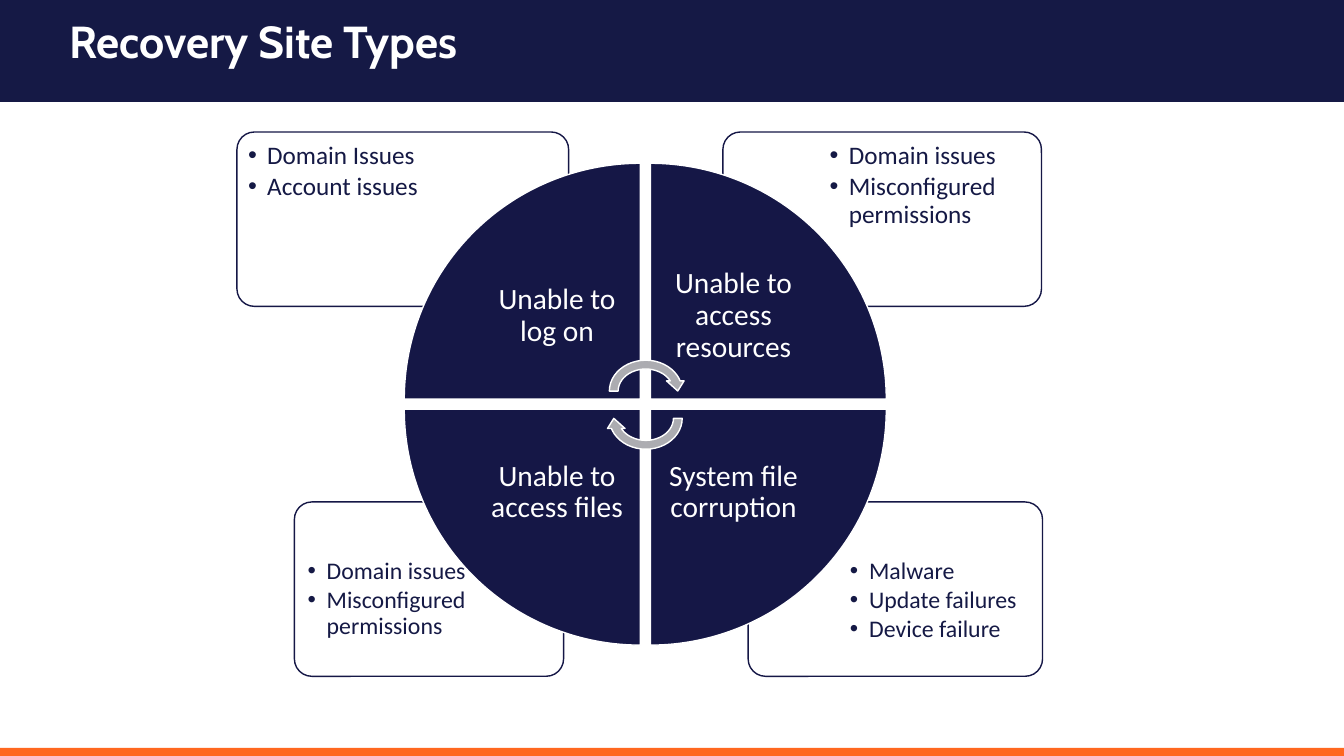
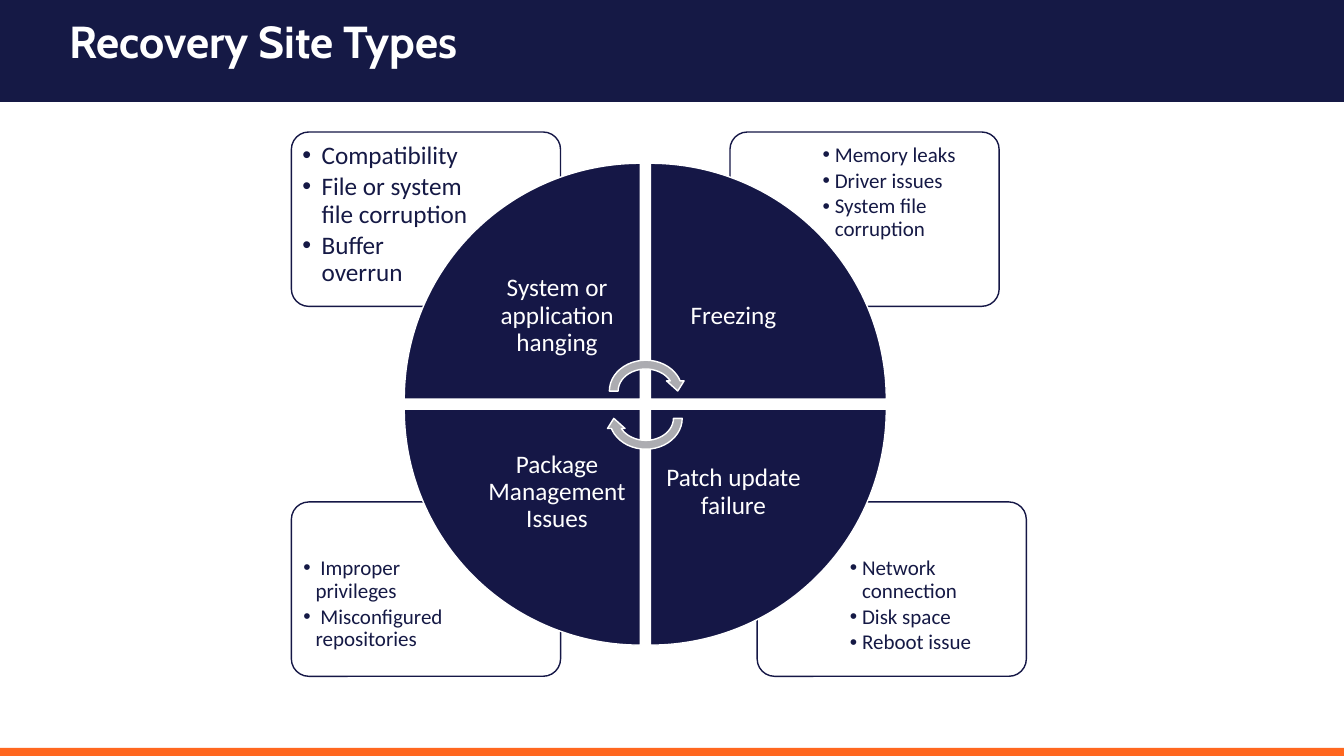
from dataclasses import dataclass

from lxml import etree
from pptx import Presentation
from pptx import util as u
from pptx.dml.color import RGBColor
from pptx.enum import shapes, text
from pptx.oxml.ns import qn

PX = u.Inches(1) // 100
SLIDE_W, SLIDE_H = 1333, 750

NAVY = RGBColor(0x15, 0x19, 0x45)
WEDGE_NAVY = RGBColor(0x15, 0x17, 0x46)
ORANGE = RGBColor(0xFF, 0x67, 0x1F)
GREY = RGBColor(0xAC, 0xAC, 0xB1)
WHITE = RGBColor(0xFF, 0xFF, 0xFF)

TITLE_FONT, BODY_FONT = "Cabin", "Calibri"
BAND_H, FOOTER_H = 101, 8

WHEEL_LEFT, WHEEL_TOP = 401, 162
WEDGE, WEDGE_PITCH, LABEL = 234, 244, 165
PANEL_TOPS, PANEL_H = (131, 498), 173
NOTE_TOPS, NOTE_H = (135, 545), 122
NOTE_GAP = 4
ARROW_LEFT, ARROW_W, ARROW_H = 600, 81, 70
ARROW_TOPS = (353, 380)

NOTE_INSETS = {18: 7, 17: 9, 15: 8}
NOTE_INDENTS = {18: 19, 17: 19, 15: 12}
LABEL_INSETS = {21: 16, 18: 14}
CLOCKWISE = ((0, 0), (1, 0), (1, 1), (0, 1))


@dataclass
class Quadrant:
    """One quarter of the wheel with the panel behind it."""

    label: str
    causes: list
    panel_left: int
    panel_width: int
    note_size: int


HARDWARE_AND_ACCESS = [
    Quadrant("Unable to log on", ["Domain Issues", "Account issues"], 235, 329, 18),
    Quadrant("Unable to access resources",
             ["Domain issues", "Misconfigured permissions"], 717, 316, 18),
    Quadrant("System file corruption",
             ["Malware", "Update failures", "Device failure"], 742, 292, 17),
    Quadrant("Unable to access files",
             ["Domain issues", "Misconfigured permissions"], 292, 267, 17),
]

SOFTWARE = [
    Quadrant("System or application hanging",
             ["Compatibility", "File or system file corruption", "Buffer overrun"],
             289, 267, 18),
    Quadrant("Freezing",
             ["Memory leaks", "Driver issues", "System file corruption"],
             724, 267, 15),
    Quadrant("Patch update failure",
             ["Network connection", "Disk space", "Reboot issue"], 751, 267, 15),
    Quadrant("Package Management Issues",
             [" Improper privileges", " Misconfigured repositories"], 289, 267, 15),
]


def px(*lengths):
    """Turn px lengths into EMU."""
    return [length * PX for length in lengths]


def add_block(slide, kind, box, fill, line=None, turn=0):
    """Add a flat preset shape."""
    block = slide.shapes.add_shape(kind, *px(*box))
    block.shadow.inherit = False
    block.rotation = turn
    block.fill.solid()
    block.fill.fore_color.rgb = fill
    if line is None:
        block.line.fill.background()
    else:
        block.line.color.rgb = line
        block.line.width = u.Pt(1)
    return block


def add_words(slide, box, lines, size, color, font=BODY_FONT, inset=10,
              anchor=text.MSO_ANCHOR.MIDDLE, align=text.PP_ALIGN.LEFT,
              bold=False, indent=0):
    """Add wrapped text, one paragraph a line, bulleted when indented."""
    frame = slide.shapes.add_textbox(*px(*box)).text_frame
    frame.word_wrap = True
    frame.vertical_anchor = anchor
    frame.margin_left = frame.margin_right = inset * PX
    frame.margin_top = frame.margin_bottom = inset * PX
    frame.text = "\n".join(lines)
    for paragraph in frame.paragraphs:
        if indent:
            add_bullet(paragraph, indent)
            paragraph.space_after = u.Pt(size * 0.15)
        paragraph.alignment = align
        paragraph.line_spacing = 0.9
        for run in paragraph.runs:
            run.font.name = font
            run.font.size = u.Pt(size)
            run.font.bold = bold
            run.font.color.rgb = color


def add_bullet(paragraph, indent):
    """Give a paragraph a hanging round bullet."""
    properties = paragraph._p.get_or_add_pPr()
    properties.set("marL", str(indent * PX))
    properties.set("indent", str(-indent * PX))
    etree.SubElement(properties, qn("a:buFont")).set("typeface", "Arial")
    etree.SubElement(properties, qn("a:buChar")).set("char", "•")


def add_frame(slide, title):
    """Add the title band, the footer strip and the title."""
    rectangle = shapes.MSO_SHAPE.RECTANGLE
    add_block(slide, rectangle, (0, 0, SLIDE_W, BAND_H), NAVY)
    add_block(slide, rectangle,
              (0, SLIDE_H - FOOTER_H, SLIDE_W, FOOTER_H), ORANGE)
    add_words(slide, (59, 0, SLIDE_W - 59, 88), [title], 32, WHITE,
              font=TITLE_FONT, bold=True)


def add_panel(slide, quadrant, right, lower):
    """Add an outlined panel with its list of causes."""
    left, width, size = quadrant.panel_left, quadrant.panel_width, quadrant.note_size
    panel = add_block(slide, shapes.MSO_SHAPE.ROUNDED_RECTANGLE,
                      (left, PANEL_TOPS[lower], width, PANEL_H), WHITE, WEDGE_NAVY)
    panel.adjustments[0] = 0.1
    note_width = round(width * 0.7) - 2 * NOTE_GAP
    note_left = left + (width - NOTE_GAP - note_width if right else NOTE_GAP)
    add_words(slide, (note_left, NOTE_TOPS[lower], note_width, NOTE_H),
              quadrant.causes, size, NAVY, inset=NOTE_INSETS[size],
              anchor=text.MSO_ANCHOR.TOP, indent=NOTE_INDENTS[size])


def add_wedge(slide, quadrant, right, lower, turn, size):
    """Add a quarter of the wheel with its label near the hub."""
    left = WHEEL_LEFT + right * WEDGE_PITCH
    top = WHEEL_TOP + lower * WEDGE_PITCH
    add_block(slide, shapes.MSO_SHAPE.PIE_WEDGE,
              (left, top, WEDGE, WEDGE), WEDGE_NAVY, WHITE, turn)
    to_hub = WEDGE - LABEL
    add_words(slide,
              (left + (1 - right) * to_hub, top + (1 - lower) * to_hub, LABEL, LABEL),
              [quadrant.label], size, WHITE, inset=LABEL_INSETS[size],
              align=text.PP_ALIGN.CENTER)


def add_wheel(slide, quadrants, label_size):
    """Add the panels, the four wedges and the turning arrows."""
    for quadrant, (right, lower) in zip(quadrants, CLOCKWISE):
        add_panel(slide, quadrant, right, lower)
    for step, (quadrant, (right, lower)) in enumerate(zip(quadrants, CLOCKWISE)):
        add_wedge(slide, quadrant, right, lower, step * 90, label_size)
    for half, top in enumerate(ARROW_TOPS):
        add_block(slide, shapes.MSO_SHAPE.CIRCULAR_ARROW,
                  (ARROW_LEFT, top, ARROW_W, ARROW_H), GREY, WHITE, half * 180)


def main():
    """Build and save the presentation."""
    deck = Presentation()
    deck.slide_width, deck.slide_height = px(SLIDE_W, SLIDE_H)
    for quadrants, label_size in ((HARDWARE_AND_ACCESS, 21), (SOFTWARE, 18)):
        slide = deck.slides.add_slide(deck.slide_layouts[6])
        add_frame(slide, "Recovery Site Types")
        add_wheel(slide, quadrants, label_size)
    deck.save("out.pptx")


if __name__ == "__main__":
    main()
